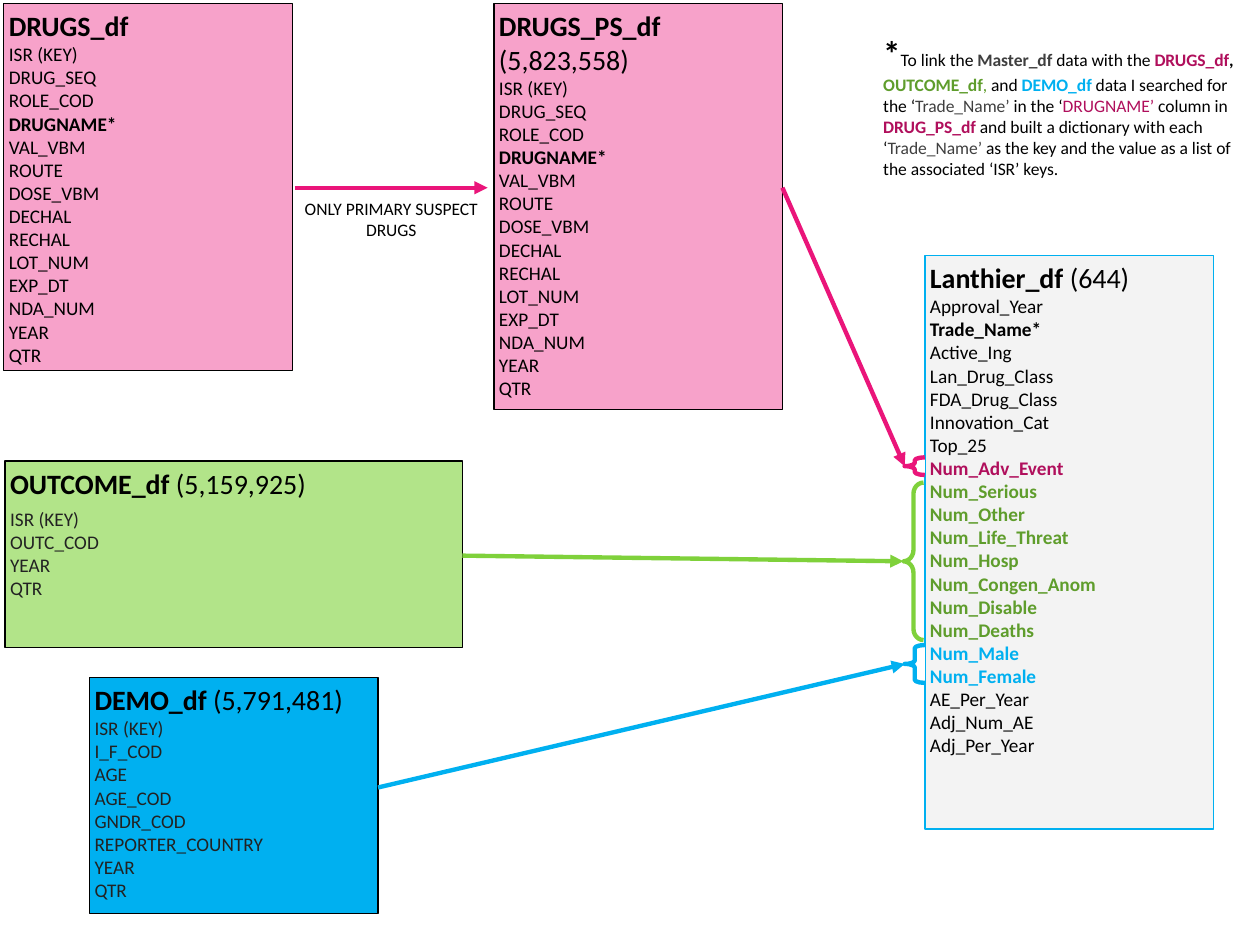
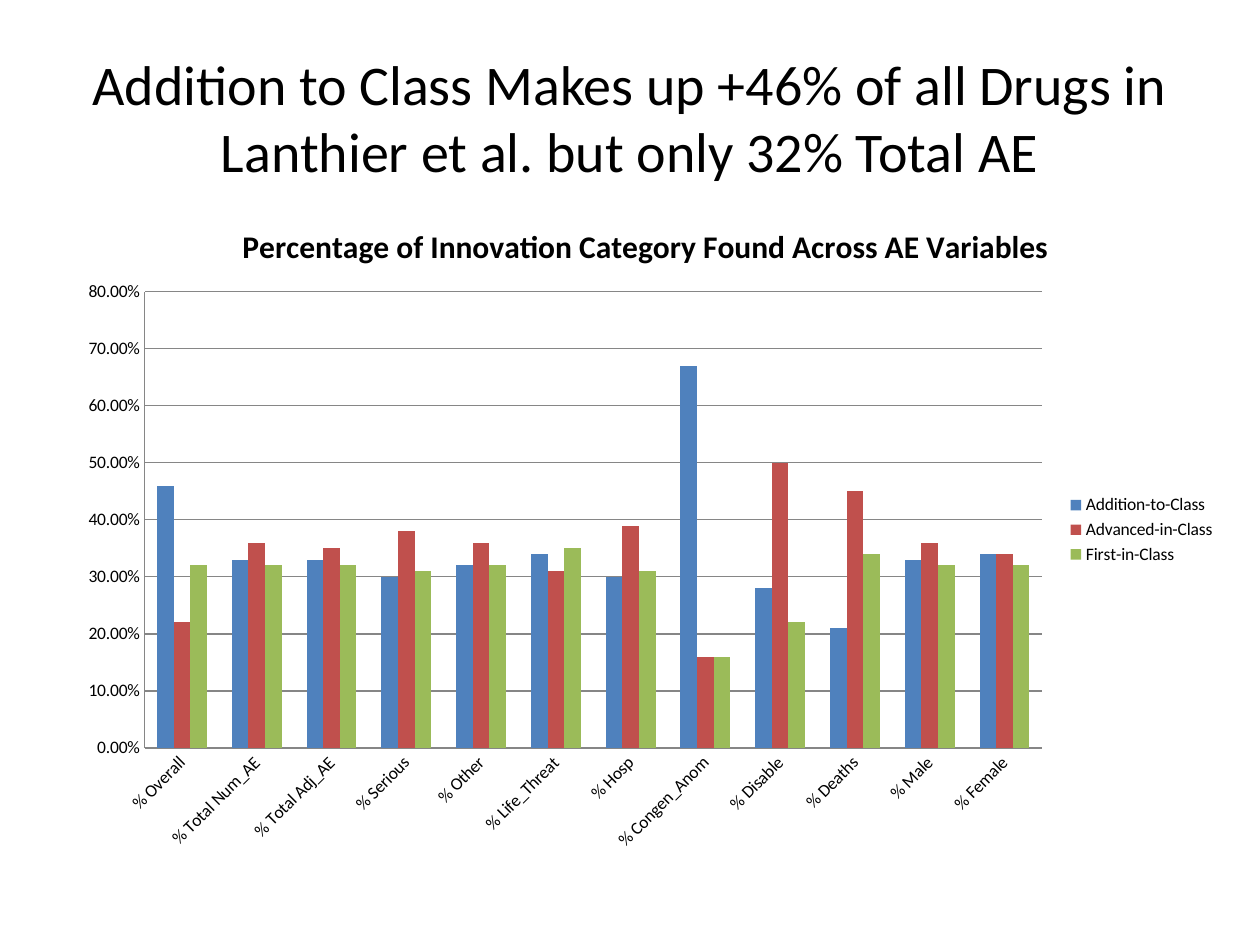
from pptx import Presentation
from pptx.chart.data import CategoryChartData
from pptx.dml.color import RGBColor
from pptx.enum.chart import XL_CHART_TYPE as ChartType, XL_LEGEND_POSITION as LegendSpot
from pptx.enum.chart import XL_TICK_MARK as TickMark
from pptx.enum.shapes import MSO_CONNECTOR as Connector, MSO_SHAPE as Shape
from pptx.enum.text import MSO_ANCHOR as Anchor, PP_ALIGN as Align
from pptx.oxml import parse_xml
from pptx.oxml.ns import nsdecls
from pptx.oxml.xmlchemy import OxmlElement
from pptx.util import Inches, Pt

FONT = "Calibri"
CELL = Inches(0.1)
COLUMNS, ROWS = 100, 75
BLACK, WHITE, INK, GRAY, AXIS = "000000", "FFFFFF", "222222", "3F3F3F", "868686"
PINK, PINK_FILL, PINK_TEXT = "EA157A", "F7A2CA", "B00F5C"
GREEN, GREEN_FILL, GREEN_TEXT = "7FD13B", "B2E489", "5F9D2C"
BLUE, PALE = "00B0F0", "F3F3F3"

DOSE_FIELDS = ["VAL_VBM", "ROUTE", "DOSE_VBM", "DECHAL", "RECHAL", "LOT_NUM",
               "EXP_DT", "NDA_NUM", "YEAR", "QTR"]
DRUG_FIELDS = [
    (["ISR (KEY)", "DRUG_SEQ", "ROLE_COD"], BLACK, False),
    (["DRUGNAME*"], BLACK, True),
    (DOSE_FIELDS, BLACK, False),
]
OUTCOME_FIELDS = [(["ISR (KEY)", "OUTC_COD", "YEAR", "QTR"], INK, False)]
DEMO_FIELDS = [(["ISR (KEY)", "I_F_COD", "AGE", "AGE_COD", "GNDR_COD",
                 "REPORTER_COUNTRY", "YEAR", "QTR"], INK, False)]
MASTER_FIELDS = [
    (["Approval_Year"], BLACK, False),
    (["Trade_Name*"], BLACK, True),
    (["Active_Ing", "Lan_Drug_Class", "FDA_Drug_Class", "Innovation_Cat", "Top_25"],
     BLACK, False),
    (["Num_Adv_Event"], PINK_TEXT, True),
    (["Num_Serious", "Num_Other", "Num_Life_Threat", "Num_Hosp", "Num_Congen_Anom",
      "Num_Disable", "Num_Deaths"], GREEN_TEXT, True),
    (["Num_Male", "Num_Female"], BLUE, True),
    (["AE_Per_Year", "Adj_Num_AE", "Adj_Per_Year"], BLACK, False),
]
LINK_NOTE = [
    ("To link the ", BLACK, False), ("Master_df ", GRAY, True),
    ("data with the ", BLACK, False), ("DRUGS_df", PINK_TEXT, True),
    (", ", BLACK, True), ("OUTCOME_df", GREEN_TEXT, True),
    (", ", GREEN_TEXT, False), ("and ", BLACK, False), ("DEMO_df", BLUE, True),
    (" data I searched for the ‘", BLACK, False), ("Trade_Name’ ", GRAY, False),
    ("in the ‘", BLACK, False), ("DRUGNAME’", PINK_TEXT, False),
    (" column in ", BLACK, False), ("DRUG_PS_df ", PINK_TEXT, True),
    ("and built a dictionary with each ‘", BLACK, False), ("Trade_Name’ ", GRAY, False),
    ("as the key and the value as a list of the associated ‘ISR’ keys.", BLACK, False),
]
CATEGORIES = ["% Overall", "% Total Num_AE", "% Total Adj_AE", "% Serious", "% Other",
              "% Life_Threat", "% Hosp", "% Congen_Anom", "% Disable", "% Deaths",
              "% Male", "% Female"]
SERIES = [
    ("Addition-to-Class", "4F81BD",
     [0.46, 0.33, 0.33, 0.3, 0.32, 0.34, 0.3, 0.67, 0.28, 0.21, 0.33, 0.34]),
    ("Advanced-in-Class", "C0504D",
     [0.22, 0.36, 0.35, 0.38, 0.36, 0.31, 0.39, 0.16, 0.5, 0.45, 0.36, 0.34]),
    ("First-in-Class", "9BBB59",
     [0.32, 0.32, 0.32, 0.31, 0.32, 0.35, 0.31, 0.16, 0.22, 0.34, 0.32, 0.32]),
]


def color(value):
    return RGBColor.from_string(value)


def grid(*cells):
    return [round(cell * CELL) for cell in cells]


def style_font(font, size, ink=BLACK, bold=False):
    font.name, font.size, font.bold = FONT, Pt(size), bold
    font.color.rgb = color(ink)


def style_line(line, ink, width):
    line.color.rgb = color(ink)
    line.width = Pt(width)


def add_span(para, text, size, ink=BLACK, bold=False):
    span = para.add_run()
    span.text = text
    style_font(span.font, size, ink, bold)


def prepare_frame(shape):
    frame = shape.text_frame
    frame.word_wrap = True
    frame.vertical_anchor = Anchor.TOP
    frame.margin_left = frame.margin_right = Inches(0.04)
    frame.margin_top = frame.margin_bottom = Inches(0.04)
    return frame


def add_figure(page, kind, place, fill, edge, width):
    shape = page.shapes.add_shape(kind, *grid(*place))
    shape.shadow.inherit = False
    shape.fill.solid()
    shape.fill.fore_color.rgb = color(fill)
    style_line(shape.line, edge, width)
    return shape


def add_data_frame(page, place, name, count, fields, fill, edge=BLACK, heading_gap=0):
    box = add_figure(page, Shape.RECTANGLE, place, fill, edge, 0.75)
    frame = prepare_frame(box)
    heading, listing = frame.paragraphs[0], frame.add_paragraph()
    heading.alignment = listing.alignment = Align.LEFT
    heading.space_after = Pt(heading_gap)
    add_span(heading, name, 16, bold=True)
    if count:
        add_span(heading, f" ({count})", 16)
    rows = [(text, ink, bold) for texts, ink, bold in fields for text in texts]
    for index, (text, ink, bold) in enumerate(rows):
        if index:
            listing.add_line_break()
        add_span(listing, text, 11, ink, bold)


def add_arrow(page, start, end, ink):
    arrow = page.shapes.add_connector(Connector.STRAIGHT, *grid(*start, *end))
    style_line(arrow.line, ink, 2.5)
    head = OxmlElement("a:tailEnd")
    head.set("type", "triangle")
    arrow.line._get_or_add_ln().append(head)
    arrow._element.spPr.append(OxmlElement("a:effectLst"))


def add_link(page, start, left, top, height, curve, ink):
    brace = add_figure(page, Shape.LEFT_BRACE, (left, top, 1.6, height), WHITE, ink, 2.5)
    brace.adjustments[0] = curve
    add_arrow(page, start, (left, top + height / 2), ink)


def add_text(page, place, spans, align=Align.LEFT):
    box = page.shapes.add_textbox(*grid(*place))
    para = prepare_frame(box).paragraphs[0]
    para.alignment = align
    for text, size, ink, bold in spans:
        add_span(para, text, size, ink, bold)


def add_title(page, text):
    title = page.shapes.title
    title.left, title.top, title.width, title.height = grid(5, 3, 90, 12.5)
    title.text_frame.vertical_anchor = Anchor.MIDDLE
    para = title.text_frame.paragraphs[0]
    para.alignment = Align.CENTER
    add_span(para, text, 32)


def place_plot(chart, x, y, w, h):
    area = chart._chartSpace.chart.plotArea
    for old in area.xpath("c:layout"):
        area.remove(old)
    sizes = "".join(f'<c:{key} val="{value}"/>'
                    for key, value in zip("xywh", (x, y, w, h)))
    area.insert(0, parse_xml(
        f'<c:layout {nsdecls("c")}><c:manualLayout><c:layoutTarget val="inner"/>'
        f'<c:xMode val="edge"/><c:yMode val="edge"/>{sizes}'
        '</c:manualLayout></c:layout>'))


def style_axis(axis):
    axis.major_tick_mark = axis.minor_tick_mark = TickMark.NONE
    style_line(axis.format.line, AXIS, 0.75)
    style_font(axis.tick_labels.font, 10)


def add_column_chart(page, place, heading):
    data = CategoryChartData(number_format="0.00%")
    data.categories = CATEGORIES
    for name, _, values in SERIES:
        data.add_series(name, values)
    chart = page.shapes.add_chart(ChartType.COLUMN_CLUSTERED, *grid(*place), data).chart
    style_font(chart.font, 10)
    chart.has_title = True
    add_span(chart.chart_title.text_frame.paragraphs[0], heading, 18, bold=True)
    chart.chart_title.include_in_layout = False
    chart.has_legend = True
    chart.legend.position = LegendSpot.RIGHT
    chart.legend.include_in_layout = False
    style_font(chart.legend.font, 10)

    plot = chart.plots[0]
    plot.gap_width, plot.overlap, plot.vary_by_categories = 150, 0, False
    for series, (_, fill, _) in zip(plot.series, SERIES):
        series.format.fill.solid()
        series.format.fill.fore_color.rgb = color(fill)
        series.invert_if_negative = False

    style_axis(chart.category_axis)
    chart.category_axis._element.txPr.bodyPr.set("rot", "-2700000")
    scale = chart.value_axis
    style_axis(scale)
    scale.minimum_scale, scale.maximum_scale, scale.major_unit = 0, 0.8, 0.1
    scale.has_major_gridlines = True
    style_line(scale.major_gridlines.format.line, AXIS, 0.75)
    scale.tick_labels.number_format = "0.00%"
    scale.tick_labels.number_format_is_linked = False
    place_plot(chart, 0.07, 0.14, 0.77, 0.69)


def build_data_map(deck):
    page = deck.slides.add_slide(deck.slide_layouts[6])
    add_data_frame(page, (0.3, 0.3, 22.9, 29.1), "DRUGS_df", "", DRUG_FIELDS, PINK_FILL)
    add_data_frame(page, (73.4, 20.3, 22.9, 45.5), "Lanthier_df", "644",
                   MASTER_FIELDS, PALE, BLUE)
    add_data_frame(page, (7.1, 53.8, 22.9, 18.7), "DEMO_df", "5,791,481",
                   DEMO_FIELDS, BLUE)
    add_data_frame(page, (39.2, 0.3, 22.9, 32.2), "DRUGS_PS_df", "5,823,558",
                   DRUG_FIELDS, PINK_FILL)
    add_data_frame(page, (0.4, 36.6, 36.3, 14.8), "OUTCOME_df", "5,159,925",
                   OUTCOME_FIELDS, GREEN_FILL, heading_gap=4)
    add_arrow(page, (23.4, 14.9), (38.7, 14.9), PINK)
    add_text(page, (23.4, 15.3, 15.3, 4.9),
             [("ONLY PRIMARY SUSPECT DRUGS", 10, BLACK, False)], Align.CENTER)
    add_link(page, (36.7, 44.1), 71.7, 38.3, 12.5, 0.56, GREEN)
    add_link(page, (30, 62.5), 71.8, 51.2, 3, 0.16, BLUE)
    add_link(page, (62.1, 14.9), 71.8, 36.3, 1.4, 0.18, PINK)
    add_text(page, (69.7, 2.1, 30.3, 15.1),
             [("*", 20, BLACK, True)]
             + [(text, 10, ink, bold) for text, ink, bold in LINK_NOTE])


def build_category_chart(deck):
    page = deck.slides.add_slide(deck.slide_layouts[5])
    add_title(page, "Addition to Class Makes up +46% of all Drugs in "
                    "Lanthier et al. but only 32% Total AE")
    add_column_chart(page, (5, 15.8, 92.5, 52.5),
                     "Percentage of Innovation Category Found Across AE Variables")


def main():
    deck = Presentation()
    deck.slide_width, deck.slide_height = grid(COLUMNS, ROWS)
    build_data_map(deck)
    build_category_chart(deck)
    deck.save("out.pptx")


if __name__ == "__main__":
    main()
